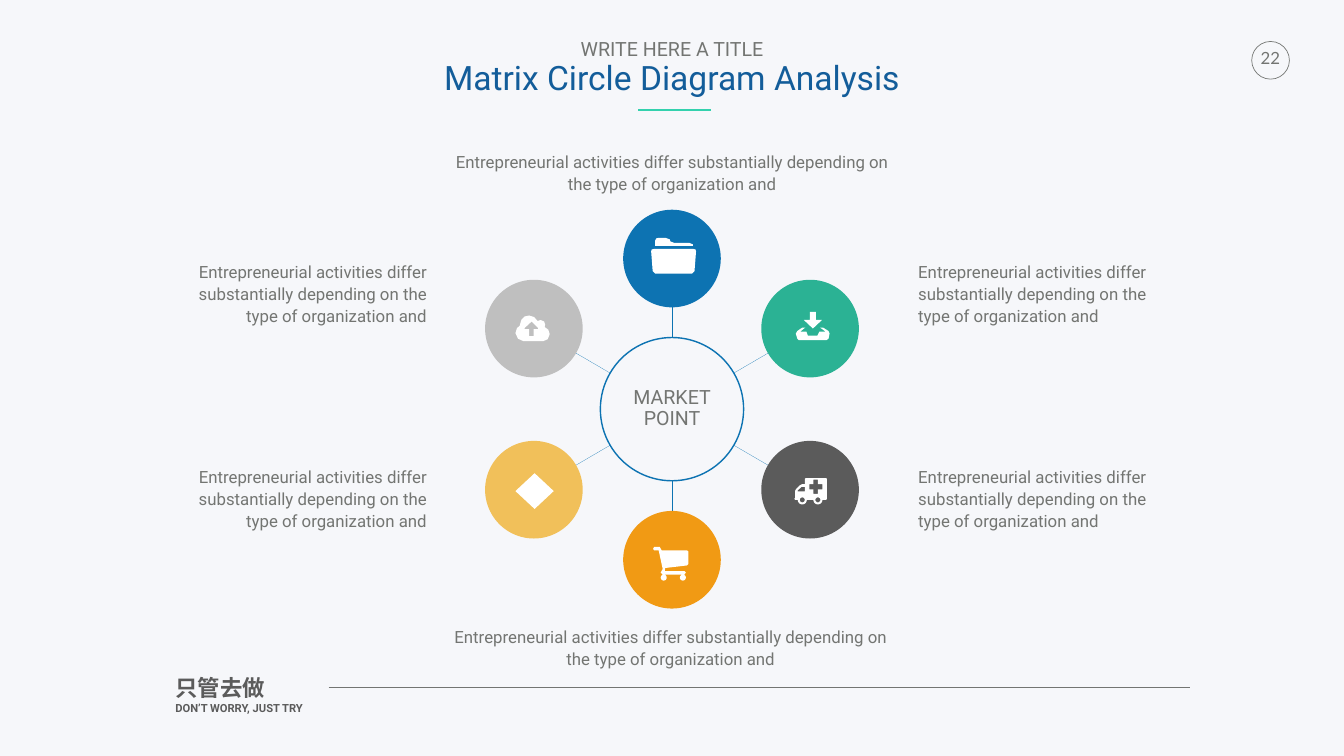
from math import cos, pi, sin

from pptx import Presentation
from pptx import util as u
from pptx.dml.color import RGBColor
from pptx.enum import shapes as es, text as et
from pptx.oxml.ns import qn
from lxml import etree

Cm = u.Cm
PAPER, GREY, DARK, BLUE, WHITE = "F6F7FA", "737572", "5B5B5B", "0D73B2", "FFFFFF"
HUB = (33.87, 20.62)
BODY = ("Entrepreneurial activities differ substantially depending on "
        "the type of organization and")
LEFT, MID, RIGHT = et.PP_ALIGN.LEFT, et.PP_ALIGN.CENTER, et.PP_ALIGN.RIGHT
OVAL = es.MSO_SHAPE.OVAL

# Offset from the hub's centre, and colour
NODES = [
    (0, -7.59, BLUE), (6.96, -4.06, "2BB294"), (6.96, 4.06, DARK),
    (0, 7.59, "F19A14"), (-6.96, 4.06, "F1C05A"), (-6.96, -4.06, "BFBFBF"),
]
# Left, top, width, height, alignment
NOTES = [
    (22.73, 7.57, 22.28, 2.16, MID), (22.66, 31.52, 22.28, 2.16, MID),
    (46.28, 13.13, 12.57, 3.28, LEFT), (46.28, 23.44, 12.57, 3.28, LEFT),
    (8.94, 13.13, 12.57, 3.28, RIGHT), (8.94, 23.44, 12.57, 3.28, RIGHT),
]


def arc(x, y, r, turn=2 * pi):
    """Points on a circle, clockwise from its right-hand side."""
    return [(x + r * cos(turn * i / 16), y + r * sin(turn * i / 16))
            for i in range(17)]


# Left and top in cm, then outlines in units of 0.0254 cm
FOLDER = (32.82, 11.99, [
    [(84, 22), (5, 22), (1, 23), (0, 27), (3, 66), (8, 71), (81, 71), (86, 66),
     (89, 27), (88, 23)],
    [(83, 13), (76, 10), (46, 10), (38, 7), (37, 3), (29, 0), (14, 0), (10, 1),
     (8, 5), (8, 16), (83, 16)],
])
INBOX = (40.11, 15.72, [
    [(65, 38), (54, 31), (48, 31), (59, 39), (47, 39), (43, 47), (24, 47),
     (21, 39), (9, 39), (19, 31), (13, 31), (3, 38), (0, 43), (3, 53), (6, 56),
     (61, 56), (65, 53), (67, 43)],
    [(52, 16), (40, 16), (40, 0), (28, 0), (28, 16), (16, 16), (34, 33)],
])
TRUCK = (40.03, 24.1, [
    [(65, 41), (63, 43), *arc(47, 43, 9, pi), *arc(16, 43, 9, pi), (2, 43),
     (0, 41), (2, 39), (2, 25), (4, 21), (11, 14), (15, 12), (21, 12), (21, 1),
     (23, 0), (63, 0), (65, 1)],
    [(21, 26), (21, 17), (15, 17), (7, 24), (7, 26)],
    [(56, 12), (47, 12), (47, 3), (38, 3), (38, 12), (30, 12), (30, 22),
     (38, 22), (38, 31), (47, 31), (47, 22), (56, 22)],
    arc(47, 43, 5), arc(16, 43, 5),
])
CART = (32.92, 27.56, [
    [(70, 34), (67, 37), (24, 42), (23, 48), (62, 48), (65, 51), (62, 55),
     (19, 55), (15, 51), (19, 44), (11, 7), (2, 7), (0, 4), (2, 0), (13, 0),
     (17, 7), (67, 7), (70, 9)],
    arc(21, 61, 6), arc(59, 61, 6),
])
CLOUD = (25.98, 15.9, [
    [(55, 51), (16, 51), (5, 46), (0, 35), (3, 25), (9, 20), (9, 18), (12, 8),
     (18, 2), (27, 0), (37, 3), (44, 11), (50, 9), (57, 12), (59, 18), (58, 23),
     (65, 28), (68, 37), (64, 47)],
    [(45, 25), (32, 12), (18, 25), (18, 27), (27, 27), (27, 41), (36, 41),
     (36, 27), (45, 27)],
])


def rgb(code):
    return RGBColor.from_string(code)


def paint(shape, fill=None, line=None, width=1):
    shape.shadow.inherit = False
    if fill:
        shape.fill.solid()
        shape.fill.fore_color.rgb = rgb(fill)
    else:
        shape.fill.background()
    if line:
        shape.line.color.rgb = rgb(line)
        shape.line.width = u.Pt(width)
    else:
        shape.line.fill.background()


def disc(slide, x, y, size, **look):
    """Draw a circle around the centre x, y."""
    box = (x - size / 2, y - size / 2, size, size)
    paint(slide.shapes.add_shape(OVAL, *map(Cm, box)), **look)


def rule(slide, start, end, color, width):
    line = slide.shapes.add_connector(es.MSO_CONNECTOR.STRAIGHT,
                                      *map(Cm, (*start, *end)))
    line.line.color.rgb = rgb(color)
    line.line.width = u.Pt(width)
    etree.SubElement(line._element.spPr, qn("a:effectLst"))


def icon(slide, left, top, rings):
    pen = None
    for ring in rings:
        pts = [(x * 10, y * 10) for x, y in ring]
        if pen is None:
            pen = slide.shapes.build_freeform(*pts[0], scale=Cm(0.0254) / 10)
        else:
            pen.move_to(*pts[0])
        pen.add_line_segments(pts[1:], close=True)
    paint(pen.convert_to_shape(Cm(left), Cm(top)), WHITE)


def write(frame, lines, pad=0, wrap=True, anchor=et.MSO_ANCHOR.TOP, **para):
    """Fill a frame with (text, size, colour, font, bold) lines."""
    look = {"word_wrap": wrap, "vertical_anchor": anchor,
            "auto_size": et.MSO_AUTO_SIZE.NONE}
    for side in ("left", "right", "top", "bottom"):
        look[f"margin_{side}"] = Cm(pad)
    for key, val in look.items():
        setattr(frame, key, val)
    for i, (words, size, color, font, bold) in enumerate(lines):
        par = frame.add_paragraph() if i else frame.paragraphs[0]
        for key, val in para.items():
            setattr(par, key, val)
        run = par.add_run()
        run.text = words
        for key, val in {"size": u.Pt(size), "name": font, "bold": bold}.items():
            setattr(run.font, key, val)
        run.font.color.rgb = rgb(color)


def label(slide, box, lines, **look):
    area = slide.shapes.add_textbox(*map(Cm, box))
    write(area.text_frame, lines, **look)


def head(slide):
    title = slide.shapes.title
    box = dict(left=20.87, top=1.88, width=26, height=3.38)
    for key, val in box.items():
        setattr(title, key, Cm(val))
    write(title.text_frame,
          [("WRITE HERE A TITLE", 28, GREY, "Roboto", False),
           ("Matrix Circle Diagram Analysis", 48, "135D9A", "Roboto", False)],
          pad=0.13, alignment=MID, line_spacing=0.9, space_before=u.Pt(0))
    rule(slide, (32.18, 5.54), (35.84, 5.54), "33D1AD", 3)


def frame(slide):
    """Draw the page number and the footer."""
    disc(slide, 64.04, 3.04, 1.9, line=GREY)
    label(slide, (63.3, 2.16, 1.47, 1.52), [("22", 24, GREY, "Lato", False)],
          pad=0.25, wrap=False, alignment=MID)
    label(slide, (8.71, 33.86, 10.13, 2.51),
          [("只管去做", 32, DARK, "Roboto", True),
           ("DON’T WORRY, JUST TRY", 16, DARK, "Roboto", True)], pad=0.13)
    rule(slide, (16.56, 34.65), (60, 34.65), GREY, 0.25)


def wheel(slide):
    x, y = HUB
    for dx, dy, _ in NODES:
        far, near = (0.705, 0.43) if dx else (0.676, 0.48)
        rule(slide, (x + dx * far, y + dy * far),
             (x + dx * near, y + dy * near), BLUE, 0.25)
    for dx, dy, color in NODES:
        disc(slide, x + dx, y + dy, 4.92, fill=color)
    disc(slide, x, y, 7.22, fill=PAPER, line=BLUE, width=2)
    label(slide, (31.32, 19.23, 5.11, 2.77),
          [(word, 28, GREY, "Roboto", False) for word in ("MARKET", "POINT")],
          pad=0.25, anchor=et.MSO_ANCHOR.MIDDLE, alignment=MID,
          line_spacing=0.89)


def main():
    deck = Presentation()
    deck.slide_width, deck.slide_height = Cm(67.74), Cm(38.1)
    slide = deck.slides.add_slide(deck.slide_layouts[5])
    slide.background.fill.solid()
    slide.background.fill.fore_color.rgb = rgb(PAPER)
    head(slide)
    frame(slide)
    wheel(slide)
    for art in (FOLDER, INBOX, TRUCK, CART, CLOUD):
        icon(slide, *art)
    gem = slide.shapes.add_shape(es.MSO_SHAPE.DIAMOND,
                                 *map(Cm, (25.98, 23.85, 1.93, 1.8)))
    paint(gem, WHITE)
    for *box, side in NOTES:
        label(slide, box, [(BODY, 24, GREY, "Roboto", False)],
              anchor=et.MSO_ANCHOR.MIDDLE, alignment=side, line_spacing=1.1,
              space_before=u.Pt(30))
    deck.save("out.pptx")


if __name__ == "__main__":
    main()
